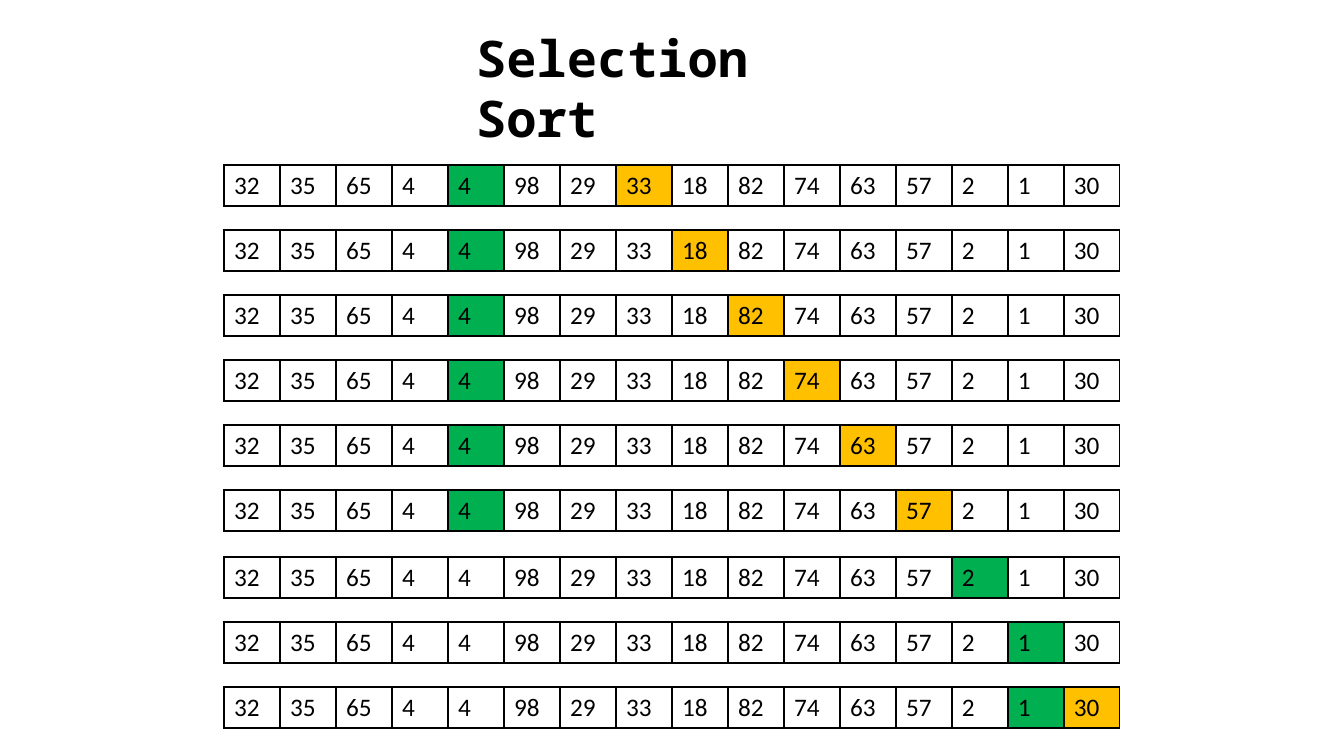
from lxml.etree import SubElement
from pptx import Presentation
from pptx.dml.color import RGBColor
from pptx.enum.text import MSO_ANCHOR, MSO_AUTO_SIZE, PP_ALIGN
from pptx.oxml.ns import qn
from pptx.util import Emu, Pt

PIXEL = 914400 / 100.8
COLORS = {"ink": "000000", "plain": "FFFFFF", "minimum": "00B050", "probe": "FFC000"}
VALUES = [32, 35, 65, 4, 4, 98, 29, 33, 18, 82, 74, 63, 57, 2, 1, 30]
FIRST_PROBE = 7
STEP_GAP = 65


def px(length):
    """Turn pixels into EMU."""
    return Emu(round(length * PIXEL))


def write(frame, text, font, size, bold=False):
    """Put one left-aligned, formatted paragraph into a text frame."""
    paragraph = frame.paragraphs[0]
    paragraph.alignment = PP_ALIGN.LEFT
    paragraph.line_spacing = 1.0
    run = paragraph.add_run()
    run.text = text
    run.font.name = font
    run.font.size = Pt(size)
    run.font.bold = bold
    run.font.color.rgb = RGBColor.from_string(COLORS["ink"])


def outline(cell):
    """Draw a thin line on all four sides of a cell."""
    properties = cell._tc.get_or_add_tcPr()
    for position, side in enumerate(("lnL", "lnR", "lnT", "lnB")):
        border = SubElement(properties, qn(f"a:{side}"), w=str(Pt(1)))
        fill = SubElement(border, qn("a:solidFill"))
        SubElement(fill, qn("a:srgbClr"), val=COLORS["ink"])
        properties.insert(position, border)


def add_heading(slide, left, top, width, height):
    """Place the slide title in its box."""
    heading = slide.shapes.title
    heading.left, heading.top = px(left), px(top)
    heading.width, heading.height = px(width), px(height)
    frame = heading.text_frame
    frame.word_wrap = True
    frame.auto_size = MSO_AUTO_SIZE.SHAPE_TO_FIT_TEXT
    frame.vertical_anchor = MSO_ANCHOR.TOP
    write(frame, "Selection Sort", font="Noto Sans Mono", size=36, bold=True)


def add_step(slide, left, top, width, height, probe):
    """Show the list with the probed value and the smallest one so far."""
    minimum = min(range(probe + 1), key=lambda index: (VALUES[index], -index))
    marks = {probe: "probe", minimum: "minimum"}
    step = slide.shapes.add_table(
        1, len(VALUES), px(left), px(top), px(width), px(height)
    ).table
    step.first_row = step.horz_banding = False
    for index, value in enumerate(VALUES):
        step.columns[index].width = px(width / len(VALUES))
        cell = step.cell(0, index)
        cell.fill.solid()
        cell.fill.fore_color.rgb = RGBColor.from_string(
            COLORS[marks.get(index, "plain")]
        )
        outline(cell)
        write(cell.text_frame, str(value), font="Calibri", size=18)


def add_steps(slide, left, top, width, height, probes):
    """Stack one step for each probe at equal distances."""
    for order, probe in enumerate(probes):
        add_step(slide, left, top + order * STEP_GAP, width, height, probe)


def main():
    """Build and save the slide."""
    deck = Presentation()
    deck.slide_width, deck.slide_height = px(1344), px(756)
    slide = deck.slides.add_slide(deck.slide_layouts[5])
    add_heading(slide, 466, 22, 412, 71)
    new_minimum = VALUES.index(2)
    add_steps(slide, 224, 165, 896, 41, range(FIRST_PROBE, new_minimum))
    add_steps(slide, 224, 557, 896, 41, range(new_minimum, len(VALUES)))
    deck.save("out.pptx")


main()
